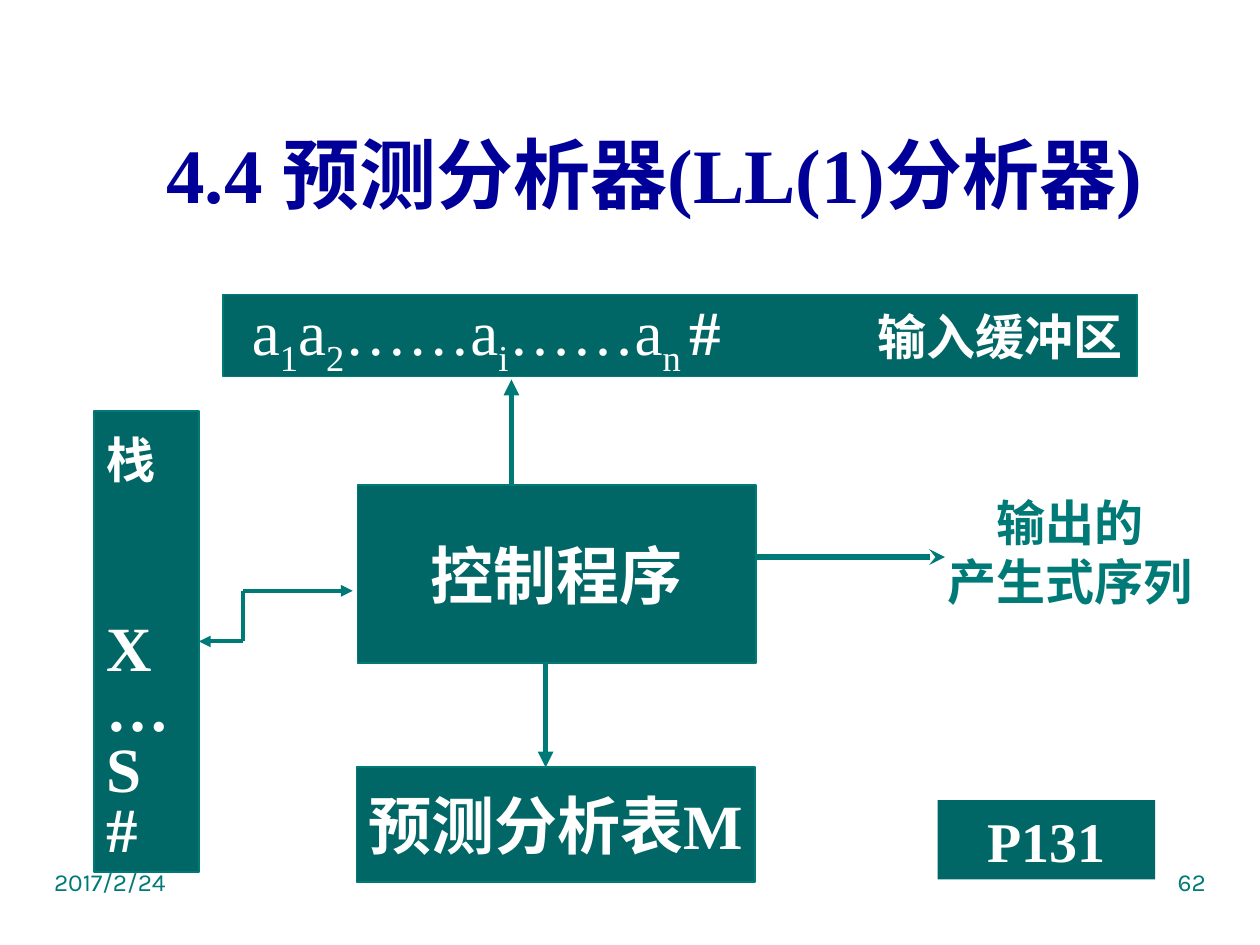
from dataclasses import dataclass

import lxml.etree
import pptx
import pptx.dml.color
import pptx.enum.shapes
import pptx.enum.text
import pptx.oxml.ns
import pptx.util

Cm = pptx.util.Cm
Pt = pptx.util.Pt
Align = pptx.enum.text.PP_ALIGN
Anchor = pptx.enum.text.MSO_ANCHOR


@dataclass(frozen=True)
class Theme:
    serif: str = "Times New Roman"
    sans: str = "Karla"
    title: str = "000099"
    fill: str = "006666"
    accent: str = "007A77"
    light: str = "FFFFFF"
    title_size: int = 44
    large: int = 36
    page: int = 32
    label: int = 28
    footer: int = 14


THEME = Theme()


@dataclass(frozen=True)
class Box:
    """A region of the slide, in centimetres."""
    left: float
    top: float
    width: float
    height: float

    @property
    def right(self):
        return self.left + self.width

    @property
    def bottom(self):
        return self.top + self.height

    def lengths(self):
        return [Cm(n) for n in (self.left, self.top, self.width, self.height)]


def rgb(value):
    return pptx.dml.color.RGBColor.from_string(value)


def add_xml(parent, tag, **attributes):
    return lxml.etree.SubElement(parent, pptx.oxml.ns.qn(tag), attributes)


def style_run(run, size, color, bold=True, font=None):
    run.font.name = font or THEME.serif
    run.font.size = Pt(size)
    run.font.bold = bold
    run.font.color.rgb = rgb(color)


def write(shape, lines, size, color, align=Align.CENTER, bold=True, font=None):
    frame = shape.text_frame
    frame.text = "\n".join(lines)
    for paragraph in frame.paragraphs:
        paragraph.alignment = align
        for run in paragraph.runs:
            style_run(run, size, color, bold, font)
    return frame


def add_block(slide, box, outlined=True):
    shape = slide.shapes.add_shape(
        pptx.enum.shapes.MSO_SHAPE.RECTANGLE, *box.lengths())
    shape.shadow.inherit = False
    shape.fill.solid()
    shape.fill.fore_color.rgb = rgb(THEME.fill)
    if outlined:
        shape.line.color.rgb = rgb(THEME.accent)
        shape.line.width = Pt(1)
    else:
        shape.line.fill.background()
    shape.text_frame.vertical_anchor = Anchor.MIDDLE
    return shape


def add_line(slide, start, end, width=3, head=None, tail=None):
    line = slide.shapes.add_connector(
        pptx.enum.shapes.MSO_CONNECTOR.STRAIGHT,
        *(Cm(n) for n in (*start, *end)))
    line.line.color.rgb = rgb(THEME.accent)
    line.line.width = Pt(width)
    outline = line.line._get_or_add_ln()
    for tag, kind in (("a:headEnd", head), ("a:tailEnd", tail)):
        if kind:
            add_xml(outline, tag, type=kind)
    add_xml(line._element.spPr, "a:effectLst")
    return line


def add_title(slide, box):
    title = slide.shapes.title
    title.left, title.top, title.width, title.height = box.lengths()
    frame = write(title, ["4.4 预测分析器(LL(1)分析器)"], THEME.title_size, THEME.title)
    frame.auto_size = pptx.enum.text.MSO_AUTO_SIZE.NONE
    frame.vertical_anchor = Anchor.MIDDLE


def add_label(slide, box, lines, size, align, bold=True, font=None):
    label = slide.shapes.add_textbox(*box.lengths())
    frame = write(label, lines, size, THEME.accent, align, bold, font)
    frame.word_wrap = True


def add_centred_block(slide, box, text, size=THEME.large, outlined=True):
    shape = add_block(slide, box, outlined)
    write(shape, [text], size, THEME.light).word_wrap = False


def add_input_buffer(slide, box):
    frame = add_block(slide, box).text_frame
    frame.margin_left, frame.margin_right = Cm(0.58), Cm(0.1)
    paragraph = frame.paragraphs[0]
    paragraph.alignment = Align.LEFT
    tabs = add_xml(paragraph._p.get_or_add_pPr(), "a:tabLst")
    add_xml(tabs, "a:tab", pos=str(Cm(box.width - 5.8)), algn="l")
    for symbol, subscript in (("a", "1"), ("a", "2"), ("……a", "i"), ("……a", "n ")):
        for text in (symbol, subscript):
            run = paragraph.add_run()
            run.text = text
            style_run(run, THEME.large, THEME.light, bold=False)
        run.font._element.set("baseline", "-25000")
    for text, size in (("#\t", THEME.large), ("输入缓冲区", THEME.label)):
        run = paragraph.add_run()
        run.text = text
        style_run(run, size, THEME.light)


def add_stack(slide, box):
    shape = add_block(slide, box)
    frame = write(shape, ["栈", "X", "…", "S", "#"], THEME.large, THEME.light, Align.LEFT)
    heading, top_symbol = frame.paragraphs[:2]
    for paragraph in frame.paragraphs:
        paragraph.line_spacing = 0.8
    heading.line_spacing = 1.2
    heading.runs[0].font.size = Pt(THEME.label)
    top_symbol.space_before = Pt(77)
    return shape


def add_stack_link(slide, stack, stack_box, control_box):
    """Two-way stepped arrow between the stack and the control program."""
    middle = stack_box.top + stack_box.height / 2
    bend, entry = stack_box.right + 0.89, control_box.top + 2.13
    first = add_line(slide, (stack_box.right, middle), (bend, middle), 2.25, head="triangle")
    first.begin_connect(stack, 3)
    add_line(slide, (bend, middle), (bend, entry), 2.25)
    add_line(slide, (bend, entry), (control_box.left - 0.1, entry), 2.25, tail="triangle")


def add_analyser(slide, box):
    """Diagram of the predictive parser, laid out inside the box."""
    def inside(left, top, width, height):
        return Box(box.left + left, box.top + top, width, height)

    buffer = inside(2.6, 0, 18.42, 1.65)
    stack_box = inside(0, 2.34, 2.11, 9.3)
    control = inside(5.31, 3.84, 8.03, 3.58)
    table = inside(5.29, 9.53, 8.03, 2.31)
    add_input_buffer(slide, buffer)
    stack = add_stack(slide, stack_box)
    add_centred_block(slide, control, "控制程序")
    add_centred_block(slide, table, "预测分析表M")

    read_x, table_x, output_y = control.left + 3.1, control.left + 3.79, control.top + 1.45
    add_line(slide, (read_x, control.top), (read_x, buffer.bottom + 0.06), tail="triangle")
    add_line(slide, (table_x, table.top), (table_x, control.bottom), head="triangle")
    add_line(slide, (control.right, output_y), (control.right + 3.81, output_y), tail="stealth")
    add_label(slide, inside(16.67, 3.86, 5.99, 2.62), ["输出的", "产生式序列"],
              THEME.label, Align.CENTER)
    add_stack_link(slide, stack, stack_box, control)


def add_footer(slide, box):
    width = 6.35
    for left, text, align in ((box.left, "2017/2/24", Align.LEFT),
                              (box.right - width, "62", Align.RIGHT)):
        add_label(slide, Box(left, box.top, width, box.height), [text],
                  THEME.footer, align, False, THEME.sans)


def main():
    presentation = pptx.Presentation()
    presentation.slide_width, presentation.slide_height = Cm(25.4), Cm(19.05)
    slide = presentation.slides.add_slide(presentation.slide_layouts[5])
    add_title(slide, Box(2.69, 2.13, 21.01, 2.72))
    add_footer(slide, Box(0.84, 17.35, 23.72, 1.32))
    add_analyser(slide, Box(1.9, 5.94, 22.66, 11.84))
    add_centred_block(slide, Box(18.9, 16.13, 4.39, 1.6), "P131", THEME.page, outlined=False)
    presentation.save("out.pptx")


if __name__ == "__main__":
    main()
